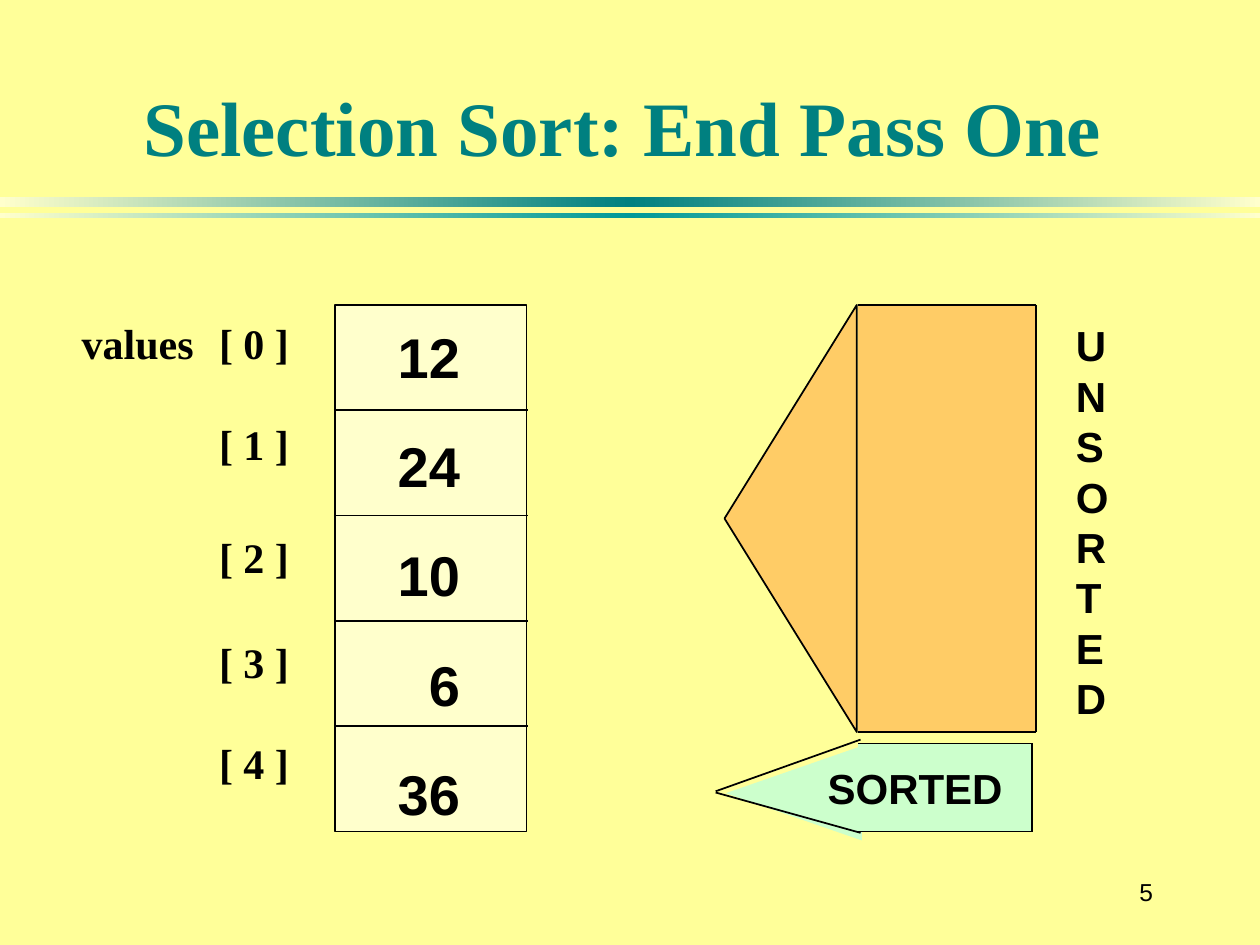
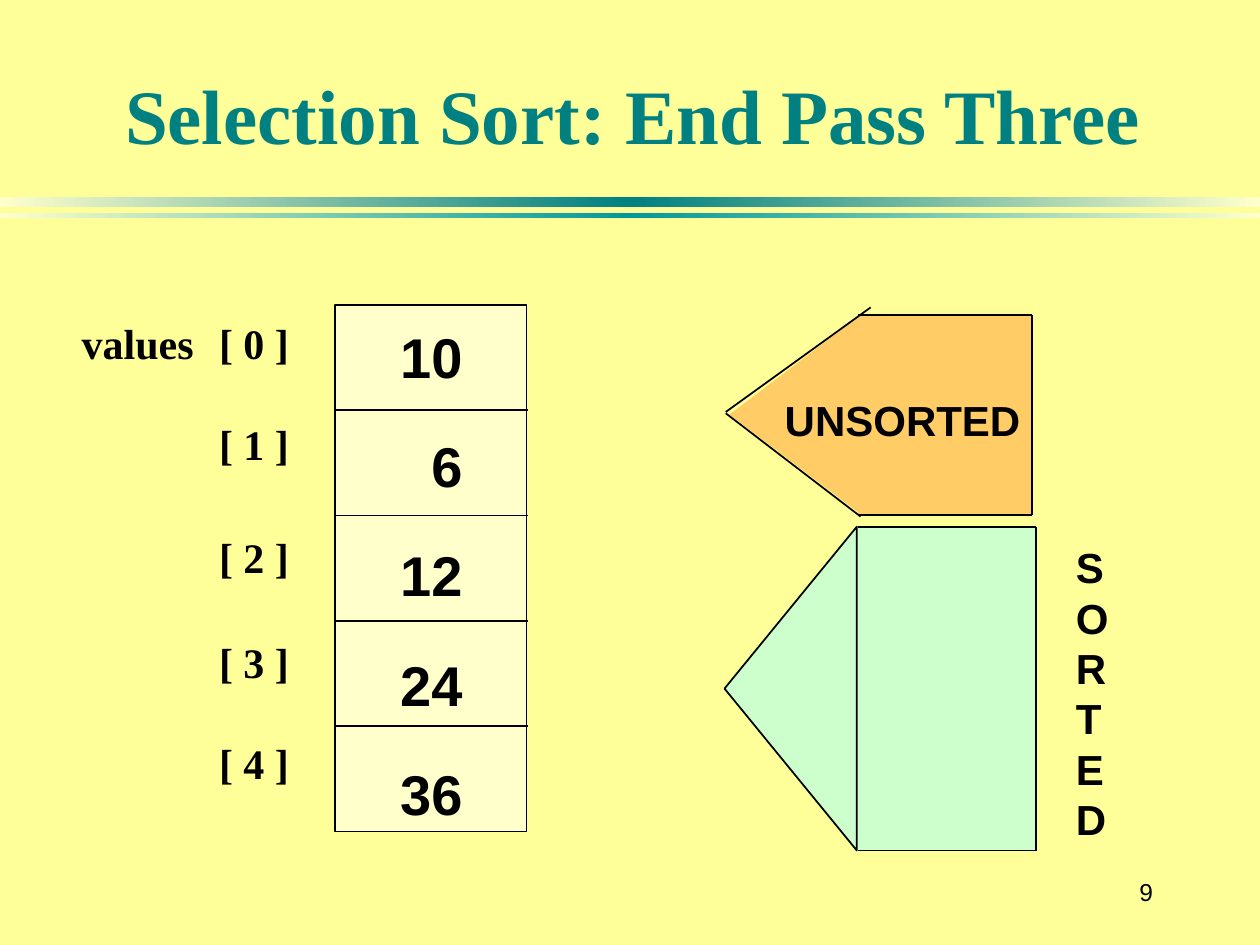
from lxml import etree
from pptx import Presentation
from pptx.dml.color import RGBColor
from pptx.enum.shapes import MSO_CONNECTOR, MSO_SHAPE
from pptx.enum.text import MSO_ANCHOR, PP_ALIGN
from pptx.oxml.ns import qn
from pptx.util import Inches, Pt

COLOURS = {
    "background": "FFFF99",
    "cream": "FFFFCC",
    "teal": "008080",
    "light teal": "009999",
    "unsorted": "FFCC66",
    "sorted": "CCFFCC",
    "ink": "000000",
}
SERIF, SANS = "Times New Roman", "Arial"
INDEX_LABELS = ["values\t[ 0 ]", "\t[ 1 ]", "\t[ 2 ]", "\t[ 3 ]", "\t[ 4 ]"]
INDEX_GAPS = [0, 28.8, 36, 31.2, 28.8]
LINE_HEIGHT = 1.2


def colour(name):
    """Return the named colour of the deck."""
    return RGBColor.from_string(COLOURS[name])


def add_text(page, box, text, font=SANS, size=24, bold=True, ink="ink", align=PP_ALIGN.LEFT,
             anchor=MSO_ANCHOR.TOP, wrap=False, top_inset=0.05, gaps=None, tab=None):
    """Add a text box with one paragraph per line of text."""
    frame = page.shapes.add_textbox(*map(Inches, box)).text_frame
    frame.word_wrap = wrap
    frame.vertical_anchor = anchor
    frame.margin_top = Inches(top_inset)
    for number, line in enumerate(text.split("\n")):
        para = frame.add_paragraph() if number else frame.paragraphs[0]
        if tab:
            stops = etree.SubElement(para._p.get_or_add_pPr(), qn("a:tabLst"))
            etree.SubElement(stops, qn("a:tab"), pos=str(Inches(tab)), algn="l")
        para.alignment = align
        para.line_spacing = Pt(size * LINE_HEIGHT)
        if gaps and number:
            para.space_before = Pt(gaps[number])
        span = para.add_run()
        span.text = line
        span.font.name = font
        span.font.size = Pt(size)
        span.font.bold = bold
        span.font.color.rgb = colour(ink)


def add_block(page, kind, box, fill, outlined=False):
    """Add a filled preset shape, with a thin outline if wanted."""
    shape = page.shapes.add_shape(kind, *map(Inches, box))
    shape.shadow.inherit = False
    shape.fill.solid()
    shape.fill.fore_color.rgb = colour(fill)
    if outlined:
        shape.line.color.rgb = colour("ink")
        shape.line.width = Pt(1)
    else:
        shape.line.fill.background()
    return shape


def add_head(page, box, fill, outlined=False):
    """Add a triangle that points left and fills the box."""
    left, top, width, height = box
    shift = (width - height) / 2
    turned = (left + shift, top - shift, height, width)
    add_block(page, MSO_SHAPE.ISOSCELES_TRIANGLE, turned, fill, outlined).rotation = 270


def add_line(page, *ends):
    """Add a thin straight line between two points."""
    line = page.shapes.add_connector(MSO_CONNECTOR.STRAIGHT, *map(Inches, ends))
    line.line.color.rgb = colour("ink")
    line.line.width = Pt(1)
    etree.SubElement(line._element.spPr, qn("a:effectLst"))


def add_band(page, box, middle):
    """Add a band that fades from its middle to both ends."""
    band = add_block(page, MSO_SHAPE.RECTANGLE, box, middle)
    band.fill.gradient()
    band.fill.gradient_angle = 0
    stops = band._element.spPr.find(qn("a:gradFill")).find(qn("a:gsLst"))
    for stop in list(stops):
        stops.remove(stop)
    for position, name in ((0, "cream"), (50, middle), (100, "cream")):
        stop = etree.SubElement(stops, qn("a:gs"), pos=str(position * 1000))
        etree.SubElement(stop, qn("a:srgbClr"), val=COLOURS[name])


def add_page(deck, title, title_box, number):
    """Add a page with its background, bands, title and number."""
    page = deck.slides.add_slide(deck.slide_layouts[6])
    page.background.fill.solid()
    page.background.fill.fore_color.rgb = colour("background")
    add_band(page, (0, 1.56, 10, 0.08), "teal")
    add_band(page, (0, 1.69, 10, 0.04), "light teal")
    add_text(page, title_box, title, font=SERIF, size=44, ink="teal",
             align=PP_ALIGN.CENTER, anchor=MSO_ANCHOR.BOTTOM, wrap=True)
    add_text(page, (8.58, 6.83, 0.67, 0.5), str(number), size=14, bold=False,
             align=PP_ALIGN.RIGHT, anchor=MSO_ANCHOR.MIDDLE, wrap=True)
    return page


def add_array(page, box, values, values_left):
    """Draw the array as stacked cells with index labels and values."""
    left, top, width, height = box
    add_text(page, (left - 2.11, top - 0.65, 2.43, 4.53), "\n".join(INDEX_LABELS),
             font=SERIF, wrap=True, top_inset=0.75, gaps=INDEX_GAPS, tab=1.09)
    add_block(page, MSO_SHAPE.RECTANGLE, box, "cream", outlined=True)
    for row in range(1, len(values)):
        y = top + row * height / len(values)
        add_line(page, left - 0.01, y, left + width + 0.01, y)
    add_text(page, (values_left, top + 0.09, 0.7, 4.1), "\n".join(map(str, values)),
             size=32, align=PP_ALIGN.RIGHT, gaps=[24] * len(values))


def add_body(page, box, fill):
    """Draw the body of an arrow, with lines on all sides but the left."""
    left, top, width, height = box
    right, bottom = left + width, top + height
    add_block(page, MSO_SHAPE.RECTANGLE, box, fill)
    add_line(page, left, top, right, top)
    add_line(page, left, bottom, right, bottom)
    add_line(page, right, top, right, bottom)


def add_tall_arrow(page, box, fill, label):
    """Draw a tall arrow with its label spelled downwards on the right."""
    left, top, width, height = box
    add_head(page, (left, top, 1.05, height), fill, outlined=True)
    add_body(page, (left + 1.06, top, width - 1.06, height), fill)
    label_box = (left + width + 0.22, top + 0.07, 0.46, len(label) * 0.4 + 0.1)
    add_text(page, label_box, "\n".join(label))


def add_flat_arrow(page, box, fill, label, label_box, head_box, upper_end):
    """Draw a low arrow with its label inside."""
    left, top, width, height = box
    tip = top + height / 2 + 0.03 * (height < 1)
    tip = tip if height < 1 else top + 0.77
    joint = 6.81
    add_head(page, head_box, fill)
    add_body(page, (joint, top, left + width - joint, height), fill)
    add_line(page, left, tip + 0.01, joint + 0.02, top + height + 0.01)
    add_line(page, left, tip, *upper_end)
    add_text(page, label_box, label)


def build_pass_one(deck):
    """Build the page that shows the array after the first pass."""
    page = add_page(deck, "Selection Sort: End Pass One", (0.8, 0.16, 8.29, 1.25), 5)
    add_array(page, (2.66, 2.42, 1.52, 4.18), [12, 24, 10, 6, 36], 3.05)
    add_tall_arrow(page, (5.75, 2.42, 2.47, 3.39), "unsorted", "UNSORTED")
    add_flat_arrow(page, (5.68, 5.9, 2.51, 0.7), "sorted", "SORTED",
                   label_box=(6.47, 6, 1.59, 0.5), head_box=(5.76, 5.92, 1.08, 0.75),
                   upper_end=(6.83, 5.87))


def build_pass_three(deck):
    """Build the page that shows the array after the third pass."""
    page = add_page(deck, "Selection Sort: End Pass Three", (0.88, 0.07, 8.29, 1.25), 9)
    add_array(page, (2.66, 2.42, 1.52, 4.18), [10, 6, 12, 24, 36], 3.07)
    add_tall_arrow(page, (5.75, 4.18, 2.47, 2.57), "sorted", "SORTED")
    add_flat_arrow(page, (5.76, 2.5, 2.43, 1.59), "unsorted", "UNSORTED",
                   label_box=(6.13, 3.08, 2.07, 0.5), head_box=(5.79, 2.5, 1.04, 1.58),
                   upper_end=(6.91, 2.44))


def main():
    """Build the deck and save it."""
    deck = Presentation()
    deck.slide_width, deck.slide_height = Inches(10), Inches(7.5)
    build_pass_one(deck)
    build_pass_three(deck)
    deck.save("out.pptx")


if __name__ == "__main__":
    main()
